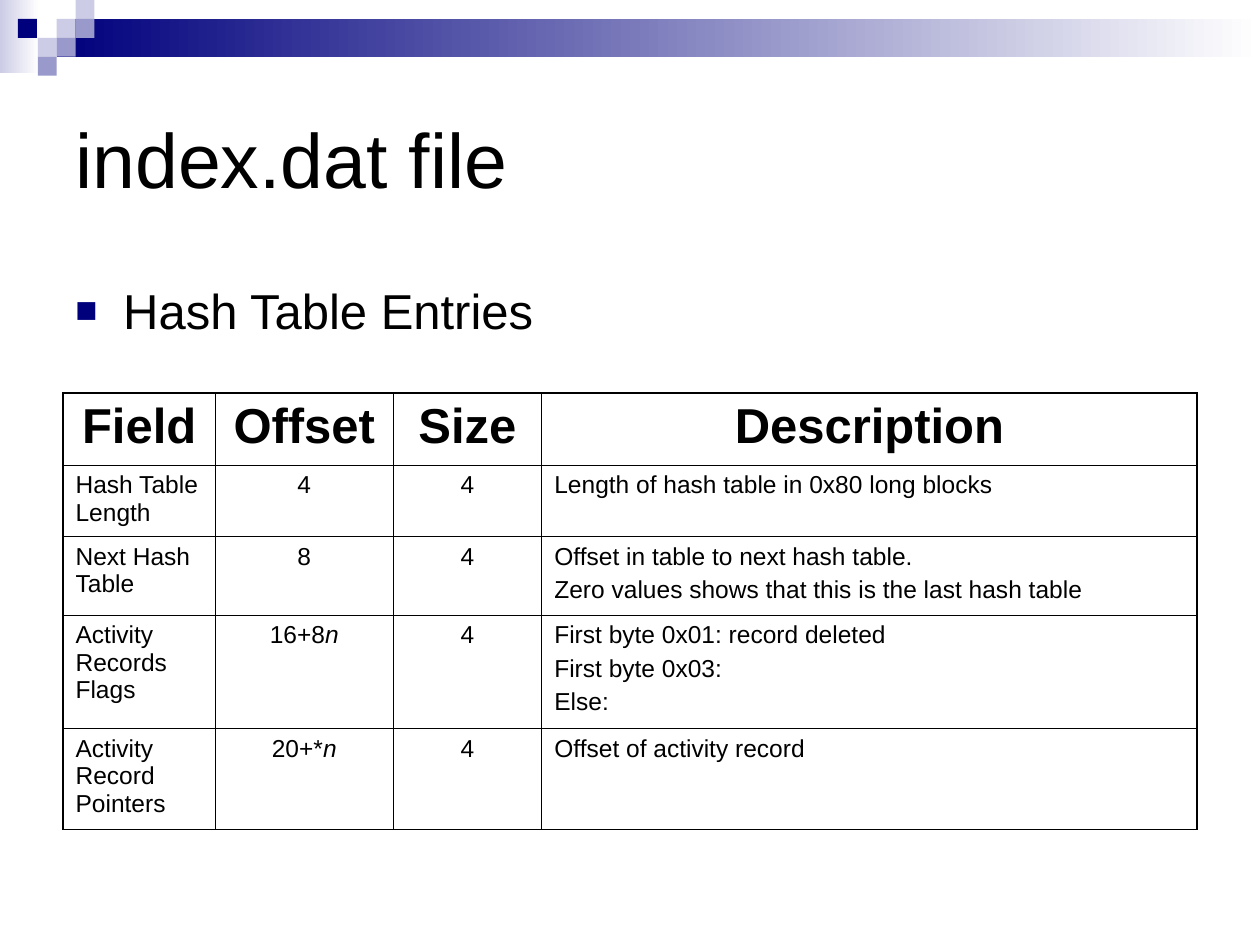
from dataclasses import dataclass

from lxml import etree
from pptx import Presentation
from pptx import util as u
from pptx.dml.color import RGBColor
from pptx.enum import shapes, text
from pptx.oxml import ns

WIDTH, HEIGHT = 10, 7.5
UNIT = 0.15
FONT = "Arial"
COLORS = {"navy": "00007D", "violet": "9999CC", "lilac": "CCCCE6",
          "white": "FFFFFF", "black": "000000"}
COLUMN_SHARES = (0.121, 0.141, 0.118, 0.52)
ROW_SHARES = (0.076, 0.076, 0.083, 0.12, 0.107)
OUTER, INNER = 1.08, 0.45


@dataclass
class Block:
    column: float
    row: float
    columns: float
    rows: float
    color: str
    fade: bool = False


@dataclass
class Entry:
    field: str
    offset: str
    size: str
    description: str


BLOCKS = (
    Block(0, 0, 2.07, 3.87, "lilac", fade=True),
    Block(3, 1, WIDTH / UNIT - 3, 2, "navy", fade=True),
    Block(3, 1, 1, 1, "lilac"),
    Block(4, 0, 1, 1, "lilac"),
    Block(4, 1, 1, 1, "violet"),
    Block(2, 2, 1, 1, "lilac"),
    Block(0.95, 1, 1, 1, "navy"),
    Block(3, 2, 1, 1, "violet"),
    Block(2, 3, 1, 1, "violet"),
)

ENTRIES = (
    Entry("Field", "Offset", "Size", "Description"),
    Entry("Hash Table Length", "4", "4", "Length of hash table in 0x80 long blocks"),
    Entry("Next Hash Table", "8", "4",
          "Offset in table to next hash table.\n"
          "Zero values shows that this is the last hash table"),
    Entry("Activity Records Flags", "16+8_n_", "4",
          "First byte 0x01: record deleted\nFirst byte 0x03:\nElse:"),
    Entry("Activity Record Pointers", "20+*_n_", "4", "Offset of activity record"),
)


def rgb(name: str) -> RGBColor:
    return RGBColor.from_string(COLORS[name])


def across(share: float) -> int:
    return u.Inches(WIDTH * share)


def down(share: float) -> int:
    return u.Inches(HEIGHT * share)


def add_bullet(paragraph) -> None:
    properties = paragraph._p.get_or_add_pPr()
    properties.set("marL", str(u.Inches(0.38)))
    properties.set("indent", str(u.Inches(-0.38)))
    color = etree.SubElement(properties, ns.qn("a:buClr"))
    etree.SubElement(color, ns.qn("a:srgbClr"), val=COLORS["navy"])
    etree.SubElement(properties, ns.qn("a:buSzPct"), val="75000")
    etree.SubElement(properties, ns.qn("a:buFont"), typeface=FONT)
    etree.SubElement(properties, ns.qn("a:buChar"), char="■")


def write_text(frame, content: str, *, size: float, bold: bool = False,
               centered: bool = False, bullet: bool = False) -> None:
    frame.word_wrap = True
    for index, line in enumerate(content.split("\n")):
        paragraph = frame.add_paragraph() if index else frame.paragraphs[0]
        if bullet:
            add_bullet(paragraph)
        if index:
            paragraph.space_before = u.Pt(size / 4)
        paragraph.alignment = text.PP_ALIGN.CENTER if centered else text.PP_ALIGN.LEFT
        for position, part in enumerate(line.split("_")):
            if part:
                run = paragraph.add_run()
                run.text = part
                run.font.name = FONT
                run.font.size = u.Pt(size)
                run.font.bold = bold
                run.font.italic = position % 2 == 1
                run.font.color.rgb = rgb("black")


def draw_block(slide, block: Block) -> None:
    box = [u.Inches(UNIT * value)
           for value in (block.column, block.row, block.columns, block.rows)]
    shape = slide.shapes.add_shape(shapes.MSO_SHAPE.RECTANGLE, *box)
    shape.shadow.inherit = False
    shape.line.fill.background()
    if block.fade:
        shape.fill.gradient()
        shape.fill.gradient_angle = 0
        for stop, name in zip(shape.fill.gradient_stops, (block.color, "white")):
            stop.color.rgb = rgb(name)
    else:
        shape.fill.solid()
        shape.fill.fore_color.rgb = rgb(block.color)


def set_borders(cell, widths: dict[str, float]) -> None:
    properties = cell._tc.get_or_add_tcPr()
    for index, (side, width) in enumerate(widths.items()):
        line = etree.Element(ns.qn(f"a:ln{side}"), w=str(u.Pt(width)))
        fill = etree.SubElement(line, ns.qn("a:solidFill"))
        etree.SubElement(fill, ns.qn("a:srgbClr"), val=COLORS["black"])
        properties.insert(index, line)


def draw_table(slide, entries: tuple[Entry, ...]) -> None:
    last_row, last_column = len(entries) - 1, len(COLUMN_SHARES) - 1
    table = slide.shapes.add_table(
        len(entries), len(COLUMN_SHARES), across(0.05), down(0.416),
        across(sum(COLUMN_SHARES)), down(sum(ROW_SHARES))).table
    table.first_row = table.horz_banding = False
    for column, share in zip(table.columns, COLUMN_SHARES):
        column.width = across(share)
    for row, share in zip(table.rows, ROW_SHARES):
        row.height = down(share)
    for r, entry in enumerate(entries):
        values = (entry.field, entry.offset, entry.size, entry.description)
        for c, value in enumerate(values):
            cell = table.cell(r, c)
            cell.fill.background()
            header = r == 0
            write_text(cell.text_frame, value, size=28 if header else 14,
                       bold=header, centered=header or c in (1, 2))
            set_borders(cell, {
                "L": OUTER if c == 0 else INNER,
                "R": OUTER if c == last_column else INNER,
                "T": OUTER if r == 0 else INNER,
                "B": OUTER if r == last_row else INNER,
            })


def main() -> None:
    presentation = Presentation()
    presentation.slide_width = u.Inches(WIDTH)
    presentation.slide_height = u.Inches(HEIGHT)
    slide = presentation.slides.add_slide(presentation.slide_layouts[6])
    for block in BLOCKS:
        draw_block(slide, block)
    title = slide.shapes.add_textbox(across(0.05), down(1 / 15), across(0.9), down(0.2))
    title.text_frame.vertical_anchor = text.MSO_ANCHOR.MIDDLE
    write_text(title.text_frame, "index.dat file", size=44)
    body = slide.shapes.add_textbox(across(0.05), down(0.29), across(0.44), down(0.57))
    write_text(body.text_frame, "Hash Table Entries", size=28, bullet=True)
    draw_table(slide, ENTRIES)
    presentation.save("out.pptx")


if __name__ == "__main__":
    main()
